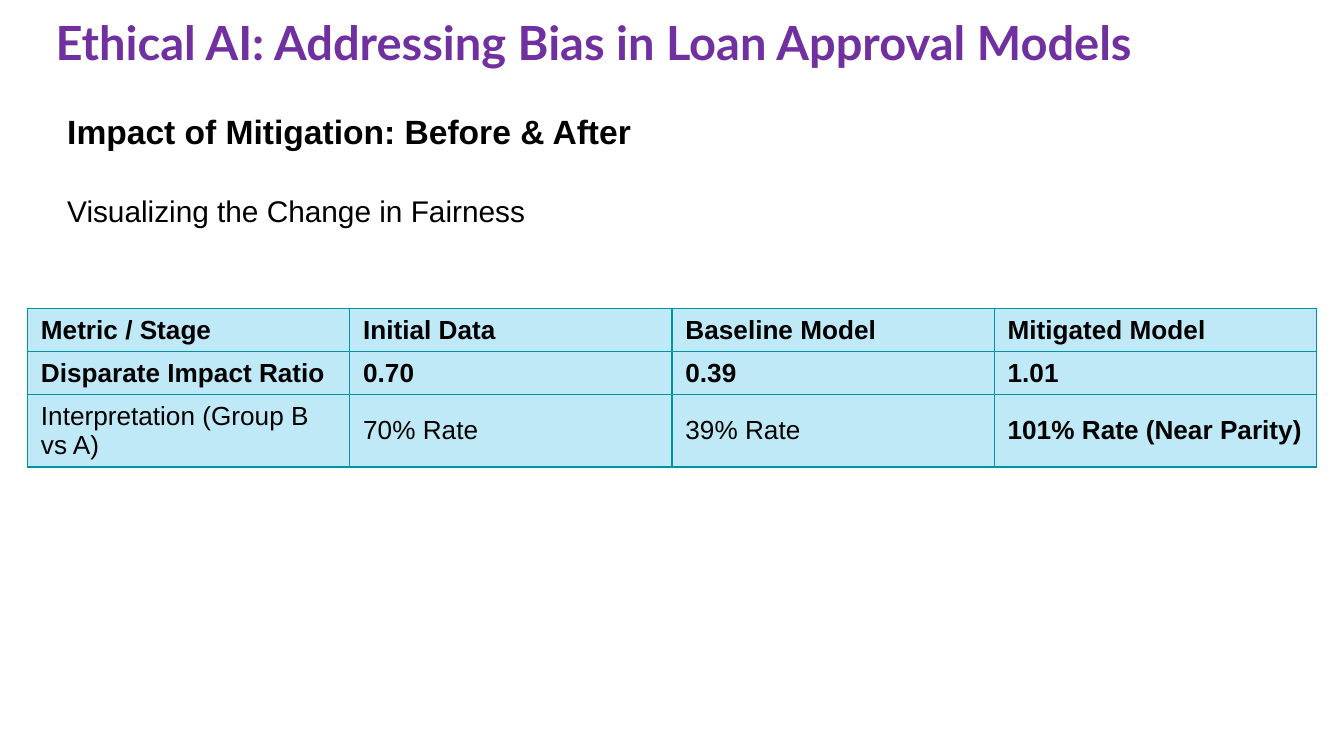
from lxml.etree import SubElement
from pptx import Presentation
from pptx.dml.color import RGBColor
from pptx.enum.text import MSO_ANCHOR as Anchor, MSO_AUTO_SIZE as AutoSize, PP_ALIGN as Align
from pptx.oxml import parse_xml
from pptx.oxml.ns import nsdecls, qn
from pptx.util import Cm, Pt

COLORS = {"title": "7030A0", "text": "000000", "cell": "BFE9F7", "border": "0094A3"}
TITLE = {"name": "Lato", "size": Pt(25.2), "bold": True}
HEADING = {"name": "Arial", "size": Pt(18), "bold": True}
SUBHEADING = {"name": "Arial", "size": Pt(16), "bold": False}
CELL = {"name": "Arial", "size": Pt(14), "bold": False}
STRONG_CELL = {**CELL, "bold": True}

METRICS = [
    ["Metric / Stage", "Initial Data", "Baseline Model", "Mitigated Model"],
    ["Disparate Impact Ratio", "0.70", "0.39", "1.01"],
    ["Interpretation (Group B vs A)", "70% Rate", "39% Rate", "101% Rate (Near Parity)"],
]
PLAIN_CELLS = {(2, 0), (2, 1), (2, 2)}
ROW_HEIGHTS = [Cm(0.81), Cm(0.81), Cm(1.37)]


class SlideBuilder:
    def __init__(self, slide):
        self.slide = slide

    def add_text(self, paragraph, text, style, color="text"):
        run = paragraph.add_run()
        run.text = text
        for attribute, value in style.items():
            setattr(run.font, attribute, value)
        run.font.color.rgb = RGBColor.from_string(COLORS[color])

    def place(self, holder, left, top, width, height):
        """Move a placeholder and return its top-anchored text frame."""
        holder.left, holder.top, holder.width, holder.height = left, top, width, height
        frame = holder.text_frame
        settings = {"word_wrap": True, "auto_size": AutoSize.NONE,
                    "vertical_anchor": Anchor.TOP}
        for side in ("left", "right", "top", "bottom"):
            settings[f"margin_{side}"] = Cm(0.25)
        for attribute, value in settings.items():
            setattr(frame, attribute, value)
        return frame

    def title(self, text, *box):
        paragraph = self.place(self.slide.shapes.title, *box).paragraphs[0]
        paragraph.alignment = Align.LEFT
        self.add_text(paragraph, text, TITLE, "title")

    def body(self, lines, gap, *box):
        frame = self.place(self.slide.placeholders[1], *box)
        for index, (text, style) in enumerate(lines):
            paragraph = frame.add_paragraph() if index else frame.paragraphs[0]
            paragraph.space_before = gap if index else Pt(0)
            properties = paragraph._p.get_or_add_pPr()
            properties.set("marL", "0")
            properties.set("indent", "0")
            SubElement(properties, qn("a:buNone"))
            self.add_text(paragraph, text, style)

    def outline(self, cell):
        properties = cell._tc.get_or_add_tcPr()
        for index, side in enumerate("LRTB"):
            properties.insert(index, parse_xml(
                f'<a:ln{side} {nsdecls("a")} w="{Pt(0.75)}"><a:solidFill>'
                f'<a:srgbClr val="{COLORS["border"]}"/></a:solidFill></a:ln{side}>'))

    def table(self, rows, heights, left, top, width):
        columns = len(rows[0])
        table = self.slide.shapes.add_table(
            len(rows), columns, left, top, width, sum(heights)).table
        for column in table.columns:
            column.width = width // columns
        for r, (values, height) in enumerate(zip(rows, heights)):
            table.rows[r].height = height
            for c, text in enumerate(values):
                cell = table.cell(r, c)
                cell.vertical_anchor = Anchor.MIDDLE
                cell.fill.solid()
                cell.fill.fore_color.rgb = RGBColor.from_string(COLORS["cell"])
                self.outline(cell)
                style = CELL if (r, c) in PLAIN_CELLS else STRONG_CELL
                self.add_text(cell.text_frame.paragraphs[0], text, style)


def main():
    deck = Presentation()
    deck.slide_width, deck.slide_height = Cm(25.4), Cm(14.28)
    builder = SlideBuilder(deck.slides.add_slide(deck.slide_layouts[1]))
    builder.title("Ethical AI: Addressing Bias in Loan Approval Models",
                  Cm(0.8), Cm(0), Cm(23.14), Cm(1.75))
    builder.table(METRICS, ROW_HEIGHTS, Cm(0.52), Cm(5.83), Cm(24.36))
    builder.body([("Impact of Mitigation: Before & After", HEADING),
                  ("Visualizing the Change in Fairness", SUBHEADING)],
                 Pt(22), Cm(1.02), Cm(1.85), Cm(18), Cm(3.33))
    deck.save("out.pptx")


if __name__ == "__main__":
    main()
